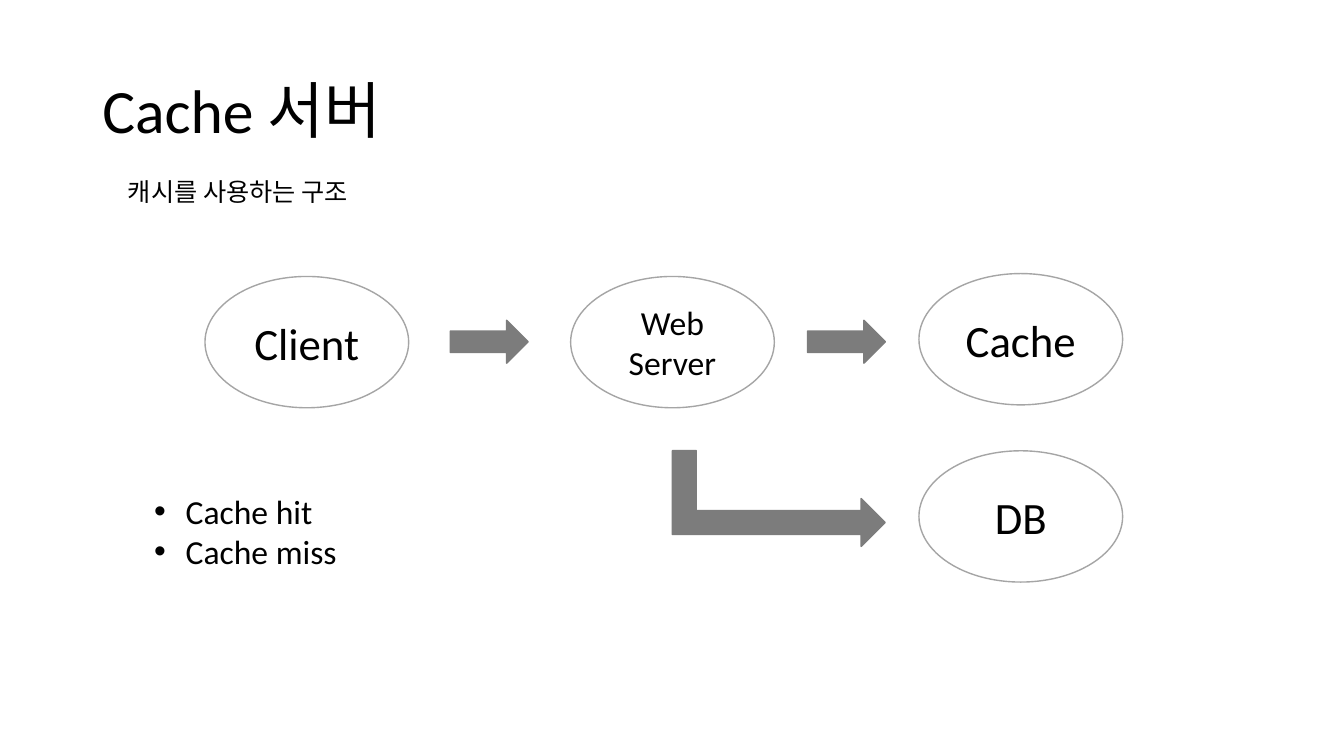
from lxml.etree import SubElement
from pptx import Presentation
from pptx.dml.color import RGBColor
from pptx.enum.shapes import MSO_SHAPE as Shape
from pptx.enum.text import MSO_ANCHOR as Anchor, PP_ALIGN as Align
from pptx.oxml.ns import qn
from pptx.util import Pt

COLORS = {"text": "000000", "node": "FFFFFF", "outline": "A5A5A5", "arrow": "7C7C7C"}
NODE_SIZE = (145.5, 93.8)
ARROW_SIZE = (55.6, 30.6)


class DiagramSlide:
    def __init__(self, slide, font="Calibri"):
        self.slide = slide
        self.font = font

    def color(self, name):
        return RGBColor.from_string(COLORS[name])

    def add_wording(self, paragraph, wording, size):
        run = paragraph.add_run()
        run.text = wording
        run.font.name = self.font
        run.font.size = Pt(size)
        run.font.color.rgb = self.color("text")

    def text(self, box, lines, size, anchor=Anchor.TOP, spacing=None, bullet_indent=None):
        area = self.slide.shapes.add_textbox(*map(Pt, box))
        frame = area.text_frame
        frame.word_wrap = True
        frame.vertical_anchor = anchor
        for index, wording in enumerate(lines):
            paragraph = frame.add_paragraph() if index else frame.paragraphs[0]
            if spacing:
                paragraph.line_spacing = spacing
            if bullet_indent:
                self.bullet(paragraph, bullet_indent)
            self.add_wording(paragraph, wording, size)

    def bullet(self, paragraph, indent):
        properties = paragraph._p.get_or_add_pPr()
        properties.set("marL", str(Pt(indent)))
        properties.set("indent", str(-Pt(indent)))
        SubElement(properties, qn("a:buFont"), typeface="Arial")
        SubElement(properties, qn("a:buChar"), char="•")

    def shape(self, kind, box, fill, line):
        figure = self.slide.shapes.add_shape(kind, *map(Pt, box))
        figure.shadow.inherit = False
        figure.fill.solid()
        figure.fill.fore_color.rgb = self.color(fill)
        figure.line.color.rgb = self.color(line)
        figure.line.width = Pt(1)
        return figure

    def node(self, left, top, label, size=32):
        ellipse = self.shape(Shape.OVAL, (left, top, *NODE_SIZE), "node", "outline")
        frame = ellipse.text_frame
        frame.word_wrap = True
        frame.vertical_anchor = Anchor.MIDDLE
        frame.paragraphs[0].alignment = Align.CENTER
        self.add_wording(frame.paragraphs[0], label, size)

    def arrow(self, kind, box, rotation=0):
        self.shape(kind, box, "arrow", "arrow").rotation = rotation


def main():
    deck = Presentation()
    deck.slide_width, deck.slide_height = Pt(960), Pt(540)
    page = DiagramSlide(deck.slides.add_slide(deck.slide_layouts[6]))

    page.text((66, 28.75, 828, 104.4), ["Cache 서버"], 44, Anchor.MIDDLE, spacing=0.9)
    page.text((84.3, 122.4, 189.4, 29), ["캐시를 사용하는 구조"], 18)

    page.node(146.4, 197.5, "Client")
    page.node(407.6, 197.5, "Web Server", 24)
    for top, label in ((195.4, "Cache"), (322, "DB")):
        page.node(656.4, top, label)

    for left in (321.6, 576.8):
        page.arrow(Shape.RIGHT_ARROW, (left, 228.8, *ARROW_SIZE))
    page.arrow(Shape.BENT_UP_ARROW, (522, 280.1, 68.4, 152), rotation=90)

    page.text((103, 347, 303.8, 65.4), ["Cache hit", "Cache miss"], 24, bullet_indent=22.5)
    deck.save("out.pptx")


if __name__ == "__main__":
    main()
